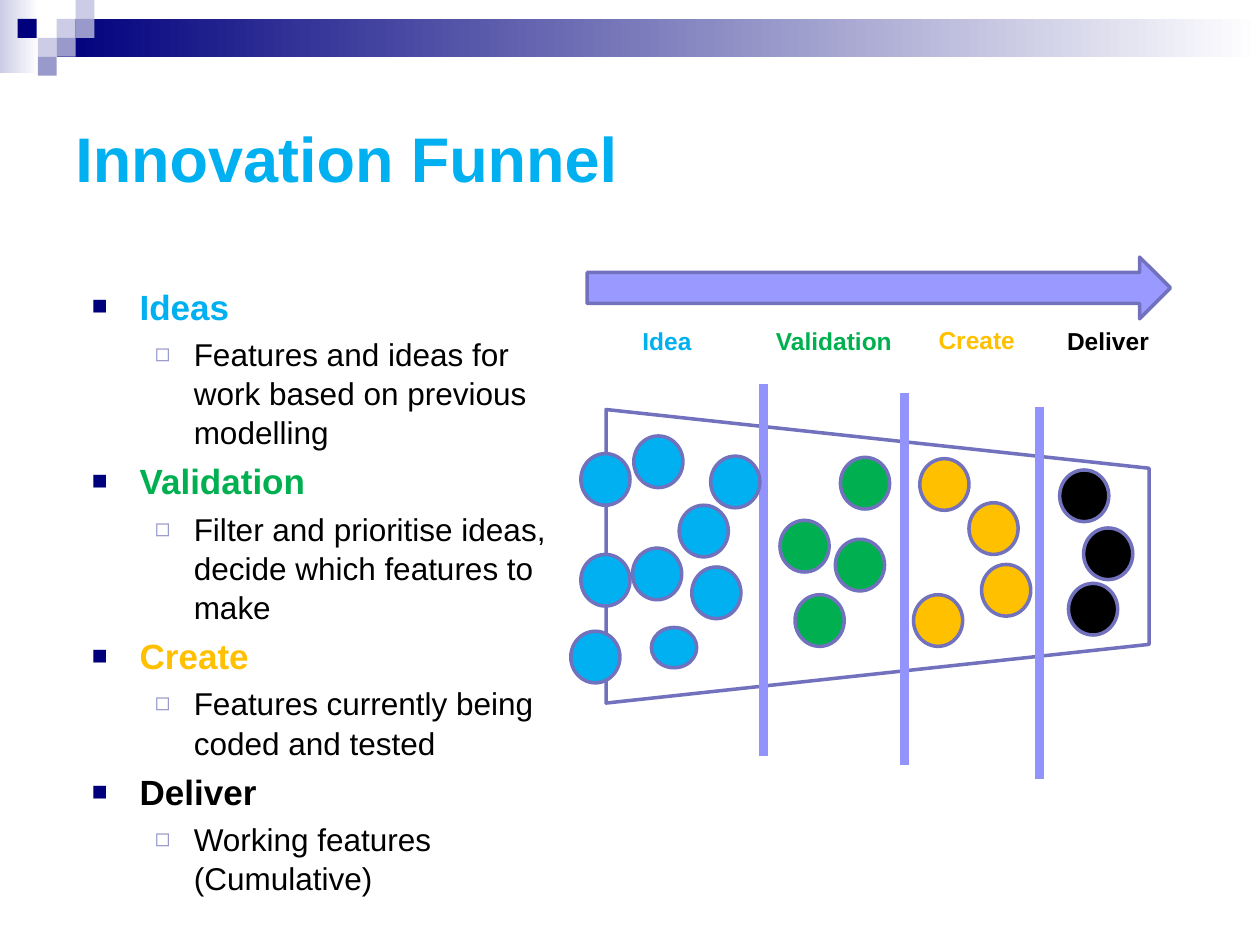
"""Build the Innovation Funnel slide, measured at 100 px to the inch."""
from dataclasses import dataclass
from typing import NamedTuple

from lxml import etree
from pptx import Presentation, util as u
from pptx.dml.color import RGBColor
from pptx.enum import shapes as s, text as t
from pptx.oxml import ns

SCALE = 9144


@dataclass(frozen=True)
class Theme:
    font: str = "Arial"
    blue: str = "00B0F0"
    green: str = "00B050"
    amber: str = "FFC000"
    black: str = "000000"
    navy: str = "00007D"
    lilac: str = "9999CC"
    pale: str = "CCCCE6"
    white: str = "FFFFFF"
    outline: str = "7171BD"
    divider: str = "9393FC"
    arrow: str = "9999FF"
    title_size: int = 36
    stage_size: int = 20
    detail_size: int = 18
    label_size: int = 14
    outline_width: int = 2
    divider_width: int = 5


THEME = Theme()


class Box(NamedTuple):
    left: int
    top: int
    width: int
    height: int


class Band(NamedTuple):
    box: Box
    start: str


class Tile(NamedTuple):
    left: int
    top: int
    color: str


class Divider(NamedTuple):
    x: int
    top: int
    bottom: int


class Bullet(NamedTuple):
    character: str
    color: str
    percent: int
    margin: int
    indent: int


class Stage(NamedTuple):
    heading: str
    detail: str
    color: str
    label: str
    label_box: Box
    balls: list[Box]


def ball(left: int, top: int, width: int = 39, height: int = 41) -> Box:
    """Return the box of one idea ball."""
    return Box(left, top, width, height)


BANDS = [Band(Box(0, 0, 31, 58), THEME.pale), Band(Box(45, 15, 955, 30), THEME.navy)]
TILE_SIZE = 15
TILES = [
    Tile(45, 15, THEME.pale), Tile(60, 0, THEME.pale), Tile(60, 15, THEME.lilac),
    Tile(30, 30, THEME.pale), Tile(14, 15, THEME.navy), Tile(45, 30, THEME.lilac),
    Tile(30, 45, THEME.lilac),
]
DIVIDERS = [Divider(606, 305, 600), Divider(718, 312, 607), Divider(825, 323, 618)]
HEADING_BULLET = Bullet("■", THEME.navy, 75, 38, -38)
DETAIL_BULLET = Bullet("◻", THEME.lilac, 80, 81, -31)
STAGES = [
    Stage("Ideas", "Features and ideas for work based on previous modelling",
          THEME.blue, "Idea", Box(500, 254, 60, 34),
          [ball(461, 360), ball(453, 501), ball(461, 440), ball(517, 498, 36, 32),
           ball(564, 362), ball(549, 450), ball(502, 435), ball(539, 401), ball(503, 346)]),
    Stage("Validation", "Filter and prioritise ideas, decide which features to make",
          THEME.green, "Validation", Box(606, 254, 131, 34),
          [ball(667, 363), ball(619, 413), ball(663, 428), ball(631, 472)]),
    Stage("Create", "Features currently being coded and tested",
          THEME.amber, "Create", Box(735, 253, 89, 34),
          [ball(730, 364), ball(769, 399), ball(779, 448), ball(725, 472)]),
    Stage("Deliver", "Working features (Cumulative)",
          THEME.black, "Deliver", Box(837, 254, 99, 34),
          [ball(860, 419), ball(841, 373), ball(848, 463)]),
]


def px(value: int) -> u.Emu:
    """Turn px into EMU."""
    return u.Emu(value * SCALE)


def emu(box: Box) -> list[u.Emu]:
    """Turn a box into EMU lengths."""
    return [px(value) for value in box]


def add_shape(slide, kind, box: Box, fill: str | None = None, outlined: bool = False):
    """Draw a preset shape with an optional solid fill and outline."""
    shape = slide.shapes.add_shape(kind, *emu(box))
    shape.shadow.inherit = False
    if fill:
        shape.fill.solid()
        shape.fill.fore_color.rgb = RGBColor.from_string(fill)
    else:
        shape.fill.background()
    if outlined:
        shape.line.color.rgb = RGBColor.from_string(THEME.outline)
        shape.line.width = u.Pt(THEME.outline_width)
    else:
        shape.line.fill.background()
    return shape


def add_band(slide, band: Band) -> None:
    """Draw a band that fades to white on the right."""
    shape = add_shape(slide, s.MSO_SHAPE.RECTANGLE, band.box)
    shape.fill.gradient()
    shape.fill.gradient_angle = 0
    for stop, color, position in zip(shape.fill.gradient_stops, (band.start, THEME.white), (0, 1)):
        stop.color.rgb = RGBColor.from_string(color)
        stop.position = position


def add_divider(slide, divider: Divider) -> None:
    """Draw a vertical line between two stages."""
    x = px(divider.x)
    line = slide.shapes.add_connector(
        s.MSO_CONNECTOR.STRAIGHT, x, px(divider.bottom), x, px(divider.top))
    line.line.color.rgb = RGBColor.from_string(THEME.divider)
    line.line.width = u.Pt(THEME.divider_width)
    etree.SubElement(line._element.spPr, ns.qn("a:effectLst"))


def style(paragraph, content: str, size: int, color: str, bold: bool) -> None:
    """Write a paragraph in one font."""
    paragraph.text = content
    font = paragraph.font
    font.name, font.size, font.bold = THEME.font, u.Pt(size), bold
    font.color.rgb = RGBColor.from_string(color)


def add_text_frame(slide, box: Box, wrap: bool = True):
    """Add a text box and return its frame."""
    frame = slide.shapes.add_textbox(*emu(box)).text_frame
    frame.word_wrap = wrap
    return frame


def set_bullet(paragraph, bullet: Bullet) -> None:
    """Give a paragraph a hanging coloured bullet."""
    properties = paragraph._p.get_or_add_pPr()
    properties.set("marL", str(px(bullet.margin)))
    properties.set("indent", str(px(bullet.indent)))
    color = etree.SubElement(properties, ns.qn("a:buClr"))
    etree.SubElement(color, ns.qn("a:srgbClr"), val=bullet.color)
    etree.SubElement(properties, ns.qn("a:buSzPct"), val=str(bullet.percent * 1000))
    etree.SubElement(properties, ns.qn("a:buFont"), typeface=THEME.font)
    etree.SubElement(properties, ns.qn("a:buChar"), char=bullet.character)


def add_stage_list(slide, box: Box) -> None:
    """Write the stages as a two-level bullet list."""
    frame = add_text_frame(slide, box)
    for stage in STAGES:
        for content, size, color, bullet in (
            (stage.heading, THEME.stage_size, stage.color, HEADING_BULLET),
            (stage.detail, THEME.detail_size, THEME.black, DETAIL_BULLET),
        ):
            first = not frame.paragraphs[0].text
            paragraph = frame.paragraphs[0] if first else frame.add_paragraph()
            set_bullet(paragraph, bullet)
            paragraph.line_spacing = 1.04
            paragraph.space_before = u.Pt(0 if first else size * 0.2)
            style(paragraph, content, size, color, bullet is HEADING_BULLET)


def main() -> None:
    """Build and save the presentation."""
    presentation = Presentation()
    presentation.slide_width, presentation.slide_height = px(1000), px(750)
    slide = presentation.slides.add_slide(presentation.slide_layouts[6])
    for band in BANDS:
        add_band(slide, band)
    for tile in TILES:
        add_shape(slide, s.MSO_SHAPE.RECTANGLE,
                  Box(tile.left, tile.top, TILE_SIZE, TILE_SIZE), tile.color)
    title = add_text_frame(slide, Box(50, 50, 900, 150))
    title.vertical_anchor = t.MSO_ANCHOR.MIDDLE
    style(title.paragraphs[0], "Innovation Funnel", THEME.title_size, THEME.blue, True)
    add_stage_list(slide, Box(63, 220, 389, 406))
    funnel = add_shape(slide, s.MSO_SHAPE.FLOWCHART_MANUAL_OPERATION,
                       Box(580, 226, 233, 431), outlined=True)
    funnel.rotation = 270
    for divider in DIVIDERS:
        add_divider(slide, divider)
    for stage in STAGES:
        label = add_text_frame(slide, stage.label_box, wrap=False)
        style(label.paragraphs[0], stage.label, THEME.label_size, stage.color, True)
        for box in stage.balls:
            add_shape(slide, s.MSO_SHAPE.OVAL, box, stage.color, outlined=True)
    add_shape(slide, s.MSO_SHAPE.RIGHT_ARROW, Box(466, 204, 463, 49), THEME.arrow, outlined=True)
    presentation.save("out.pptx")


if __name__ == "__main__":
    main()
